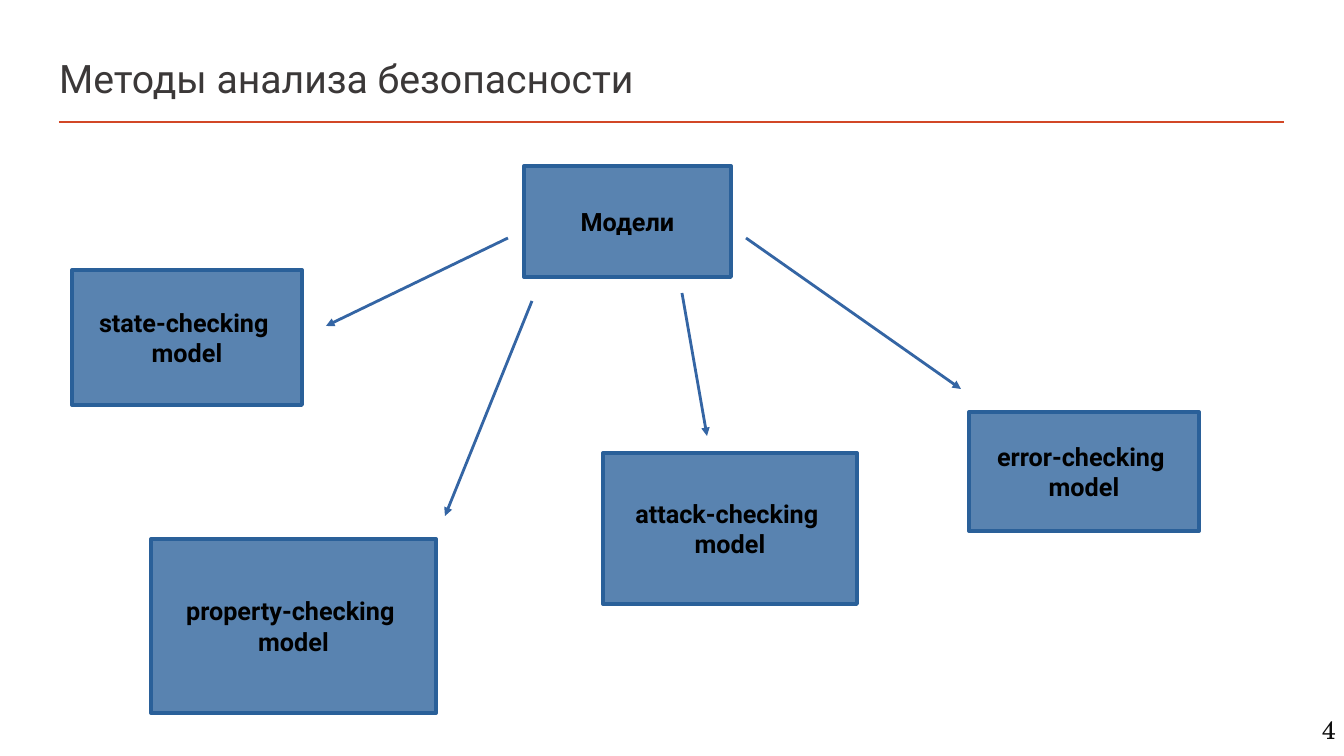
from lxml.etree import SubElement
from pptx import Presentation
from pptx.dml.color import RGBColor
from pptx.enum.shapes import MSO_CONNECTOR, MSO_SHAPE
from pptx.enum.text import MSO_ANCHOR, PP_ALIGN
from pptx.oxml.ns import qn
from pptx.util import Emu, Pt

EMU_PER_PX = 914400 / 100.8

RULE_RED = RGBColor(0xD2, 0x47, 0x26)
TITLE_GRAY = RGBColor(0x3B, 0x38, 0x38)
BOX_FILL = RGBColor(0x59, 0x83, 0xB0)
BOX_LINE = RGBColor(0x2A, 0x60, 0x99)
ARROW_BLUE = RGBColor(0x34, 0x65, 0xA4)
BOX_TEXT = RGBColor(0x00, 0x00, 0x00)
NUMBER_GRAY = RGBColor(0x0D, 0x0D, 0x0D)


def px(*lengths):
    """Turn pixel lengths into a list of EMU lengths."""
    return [Emu(round(length * EMU_PER_PX)) for length in lengths]


def add_run(para, text, size, color, font="Roboto", bold=False):
    span = para.add_run()
    span.text = text
    span.font.name = font
    span.font.size = Pt(size)
    span.font.bold = bold
    span.font.color.rgb = color


deck = Presentation()
deck.slide_width, deck.slide_height = px(1344, 756)
page = deck.slides.add_slide(deck.slide_layouts[5])

# Title
title = page.shapes.title
title.left, title.top, title.width, title.height = px(49, 47, 1236, 61)
title.text_frame.vertical_anchor = MSO_ANCHOR.MIDDLE
title_para = title.text_frame.paragraphs[0]
title_para.alignment = PP_ALIGN.LEFT
add_run(title_para, "Методы анализа безопасности", 28, TITLE_GRAY)

# Models
models = [
    ((524, 166, 207, 111), ["Модели"]),
    ((72, 270, 230, 135), ["state-checking ", "model"]),
    ((151, 539, 285, 174), ["property-checking ", "model"]),
    ((603, 453, 254, 151), ["attack-checking ", "model"]),
    ((969, 412, 230, 119), ["error-checking ", "model"]),
]
for place, lines in models:
    box = page.shapes.add_shape(MSO_SHAPE.RECTANGLE, *px(*place))
    box.shadow.inherit = False
    box.fill.solid()
    box.fill.fore_color.rgb = BOX_FILL
    box.line.color.rgb = BOX_LINE
    box.line.width = Pt(2.83)
    frame = box.text_frame
    frame.word_wrap = False
    frame.vertical_anchor = MSO_ANCHOR.MIDDLE
    for index, line in enumerate(lines):
        para = frame.add_paragraph() if index else frame.paragraphs[0]
        para.alignment = PP_ALIGN.CENTER
        add_run(para, line, 18, BOX_TEXT, bold=True)

# Rule under the title, then hairline arrows from the root to each model
connectors = [
    ((59, 122, 1284, 122), RULE_RED, 2, False),
    ((508, 238, 326, 326), ARROW_BLUE, 0, True),
    ((532, 301, 445, 516), ARROW_BLUE, 0, True),
    ((682, 293, 707, 436), ARROW_BLUE, 0, True),
    ((746, 238, 961, 389), ARROW_BLUE, 0, True),
]
for ends, color, width, has_arrowhead in connectors:
    connector = page.shapes.add_connector(MSO_CONNECTOR.STRAIGHT, *px(*ends))
    connector.line.color.rgb = color
    connector.line.width = Pt(width)
    if has_arrowhead:
        SubElement(connector.line._get_or_add_ln(), qn("a:tailEnd"), type="triangle")
    SubElement(connector._element.spPr, qn("a:effectLst"))

# Page number
number_box = page.shapes.add_textbox(*px(1312, 709, 31, 47))
number_box.text_frame.word_wrap = True
add_run(number_box.text_frame.paragraphs[0], "4", 18, NUMBER_GRAY, font="TeX Gyre Schola")

deck.save("out.pptx")
